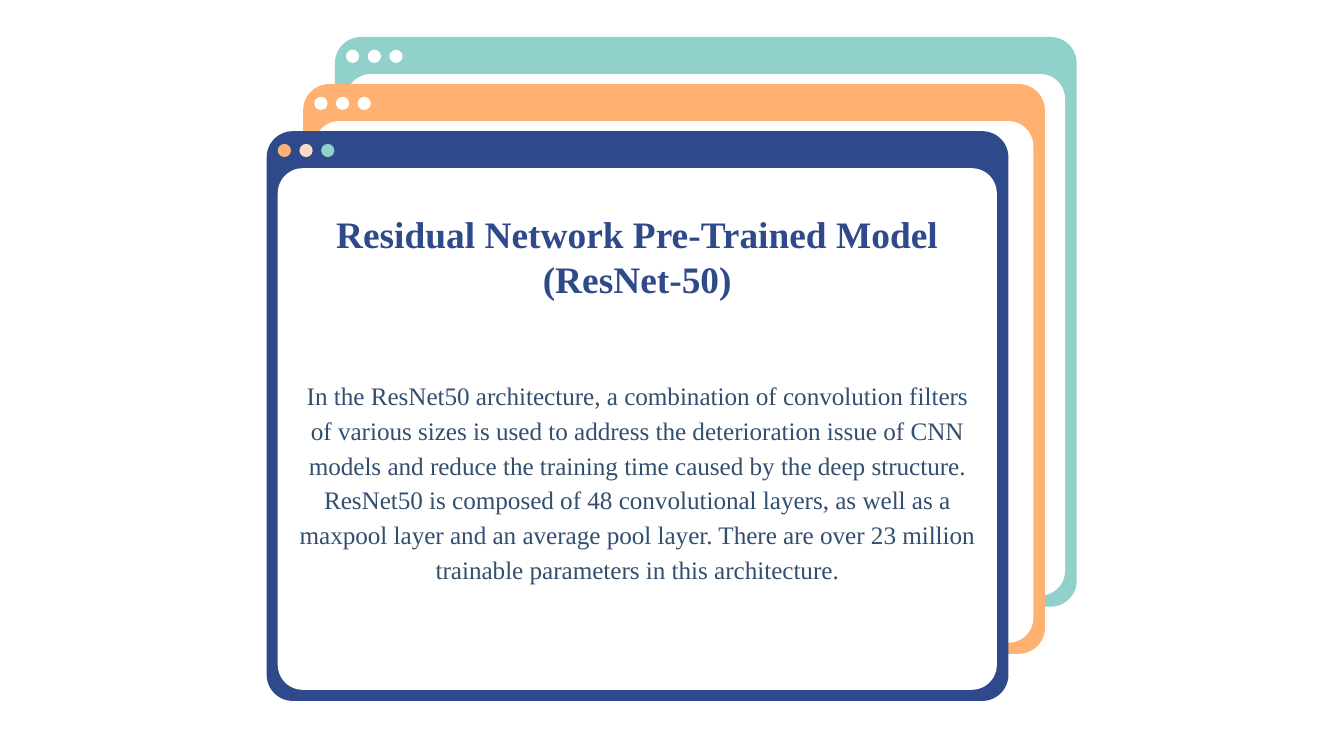
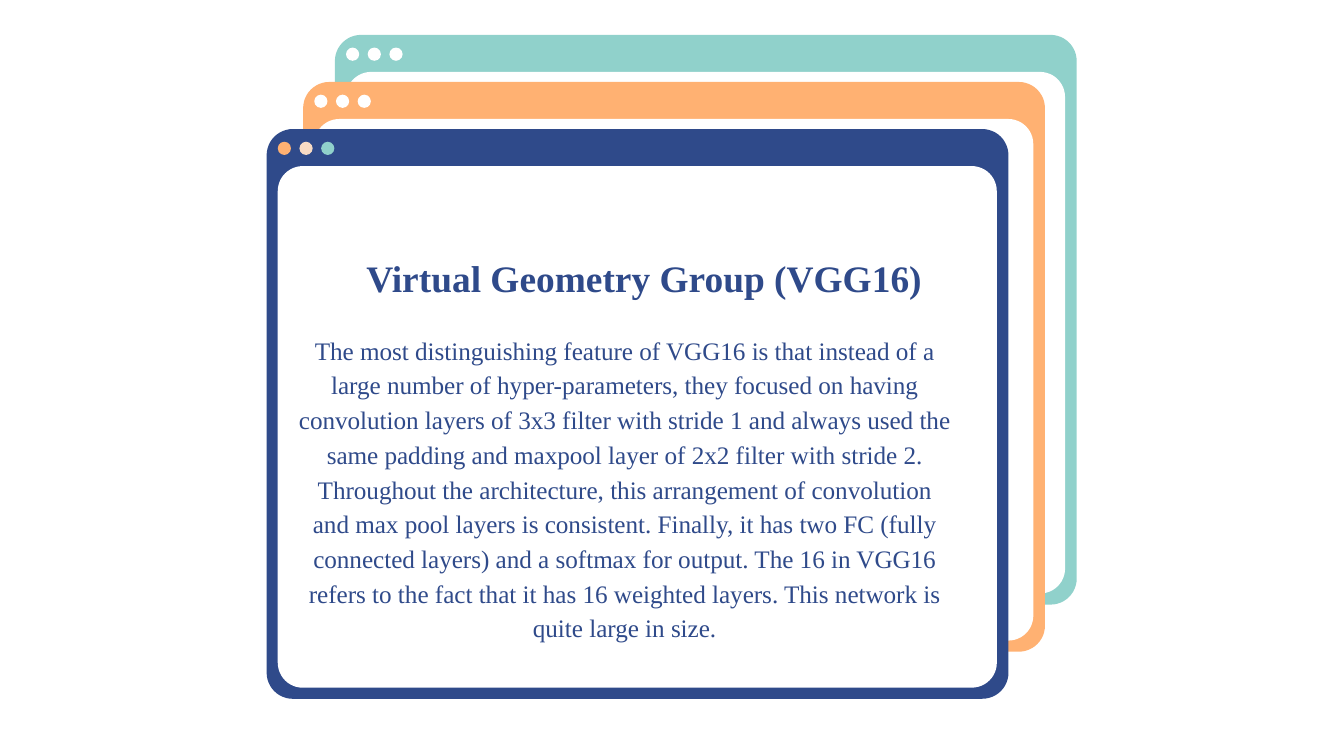
from pptx import Presentation
from pptx.dml.color import RGBColor
from pptx.enum.shapes import MSO_SHAPE
from pptx.enum.text import MSO_ANCHOR, PP_ALIGN
from pptx.util import Cm, Pt

COLORS = {
    "teal": "90D1CB",
    "orange": "FFB172",
    "navy": "2F4A8A",
    "peach": "F8DBC4",
    "slate": "334F70",
    "white": "FFFFFF",
}
FONT = "Times New Roman"

# Stacked browser windows, back to front: left edge, frame colour, dot colours
WINDOWS = [
    (6.33, "teal", ("white", "white", "white")),
    (5.73, "orange", ("white", "white", "white")),
    (5.04, "navy", ("orange", "peach", "teal")),
]
WINDOW_STEP = 0.89
FRAME_SIZE = (14.02, 10.77)
PAGE_SIZE = (13.59, 9.86)
PAGE_OFFSET = (0.21, 0.7)
DOT_OFFSET = (0.21, 0.24)
DOT_SIZE = 0.25
DOT_STEP = 0.41

SLIDES = [
    {
        "stack_top": 0.7,
        "text_box": None,
        "top_inset": 0.67,
        "title": "Residual Network Pre-Trained Model (ResNet-50)",
        "title_indent": 0,
        "title_gap": 40.5,
        "body": "In the ResNet50 architecture, a combination of convolution filters "
                "of various sizes is used to address the deterioration issue of CNN "
                "models and reduce the training time caused by the deep structure. "
                "ResNet50 is composed of 48 convolutional layers, as well as a "
                "maxpool layer and an average pool layer. There are over 23 million "
                "trainable parameters in this architecture.",
        "body_color": "slate",
    },
    {
        "stack_top": 0.66,
        "text_box": (5.38, 4.57, 12.85, 8.51),
        "top_inset": 0.25,
        "title": "Virtual Geometry Group (VGG16)",
        "title_indent": 21,
        "title_gap": 16.5,
        "body": "The most distinguishing feature of VGG16 is that instead of a "
                "large number of hyper-parameters, they focused on having "
                "convolution layers of 3x3 filter with stride 1 and always used the "
                "same padding and maxpool layer of 2x2 filter with stride 2. "
                "Throughout the architecture, this arrangement of convolution "
                "and max pool layers is consistent. Finally, it has two FC (fully "
                "connected layers) and a softmax for output. The 16 in VGG16 "
                "refers to the fact that it has 16 weighted layers. This network is "
                "quite large in size.",
        "body_color": "navy",
    },
]


def set_all(target, values):
    for name, value in values.items():
        setattr(target, name, value)


def add_filled(slide, preset, left, top, size, color, rounding=None):
    shape = slide.shapes.add_shape(
        preset, Cm(left), Cm(top), Cm(size[0]), Cm(size[1]))
    shape.shadow.inherit = False
    shape.fill.solid()
    shape.fill.fore_color.rgb = RGBColor.from_string(COLORS[color])
    shape.line.fill.background()
    if rounding is not None:
        shape.adjustments[0] = rounding
    return shape


def add_window(slide, left, top, frame_color, dot_colors):
    """Draw one browser window and return its white page."""
    add_filled(slide, MSO_SHAPE.ROUNDED_RECTANGLE, left, top,
               FRAME_SIZE, frame_color, 0.046)
    page = add_filled(slide, MSO_SHAPE.ROUNDED_RECTANGLE, left + PAGE_OFFSET[0],
                      top + PAGE_OFFSET[1], PAGE_SIZE, "white", 0.048)
    for index, color in enumerate(dot_colors):
        add_filled(slide, MSO_SHAPE.OVAL, left + DOT_OFFSET[0] + index * DOT_STEP,
                   top + DOT_OFFSET[1], (DOT_SIZE, DOT_SIZE), color)
    return page


def write_paragraph(paragraph, text, color, font_format, spacing):
    paragraph.alignment = PP_ALIGN.CENTER
    set_all(paragraph, spacing)
    run = paragraph.add_run()
    run.text = text
    set_all(run.font, {"name": FONT, **font_format})
    run.font.color.rgb = RGBColor.from_string(COLORS[color])


def write_text(frame, content):
    set_all(frame, {
        "word_wrap": True,
        "vertical_anchor": MSO_ANCHOR.TOP,
        "margin_left": Cm(0.24),
        "margin_right": Cm(0.24),
        "margin_top": Cm(content["top_inset"]),
        "margin_bottom": Cm(0.25),
    })
    title = frame.paragraphs[0]
    write_paragraph(title, content["title"], "navy",
                    {"size": Pt(20), "bold": True},
                    {"space_after": Pt(content["title_gap"])})
    if content["title_indent"]:
        title._p.get_or_add_pPr().set("marL", str(Pt(content["title_indent"])))
    write_paragraph(frame.add_paragraph(), content["body"], content["body_color"],
                    {"size": Pt(13.5), "bold": False}, {"line_spacing": 1.15})


def build_slide(deck, content):
    slide = deck.slides.add_slide(deck.slide_layouts[6])
    for index, (left, frame_color, dot_colors) in enumerate(WINDOWS):
        top = content["stack_top"] + index * WINDOW_STEP
        text_holder = add_window(slide, left, top, frame_color, dot_colors)
    if content["text_box"]:
        text_holder = slide.shapes.add_textbox(*map(Cm, content["text_box"]))
    write_text(text_holder.text_frame, content)


def main():
    deck = Presentation()
    set_all(deck, {"slide_width": Cm(25.4), "slide_height": Cm(14.29)})
    for content in SLIDES:
        build_slide(deck, content)
    deck.save("out.pptx")


if __name__ == "__main__":
    main()
